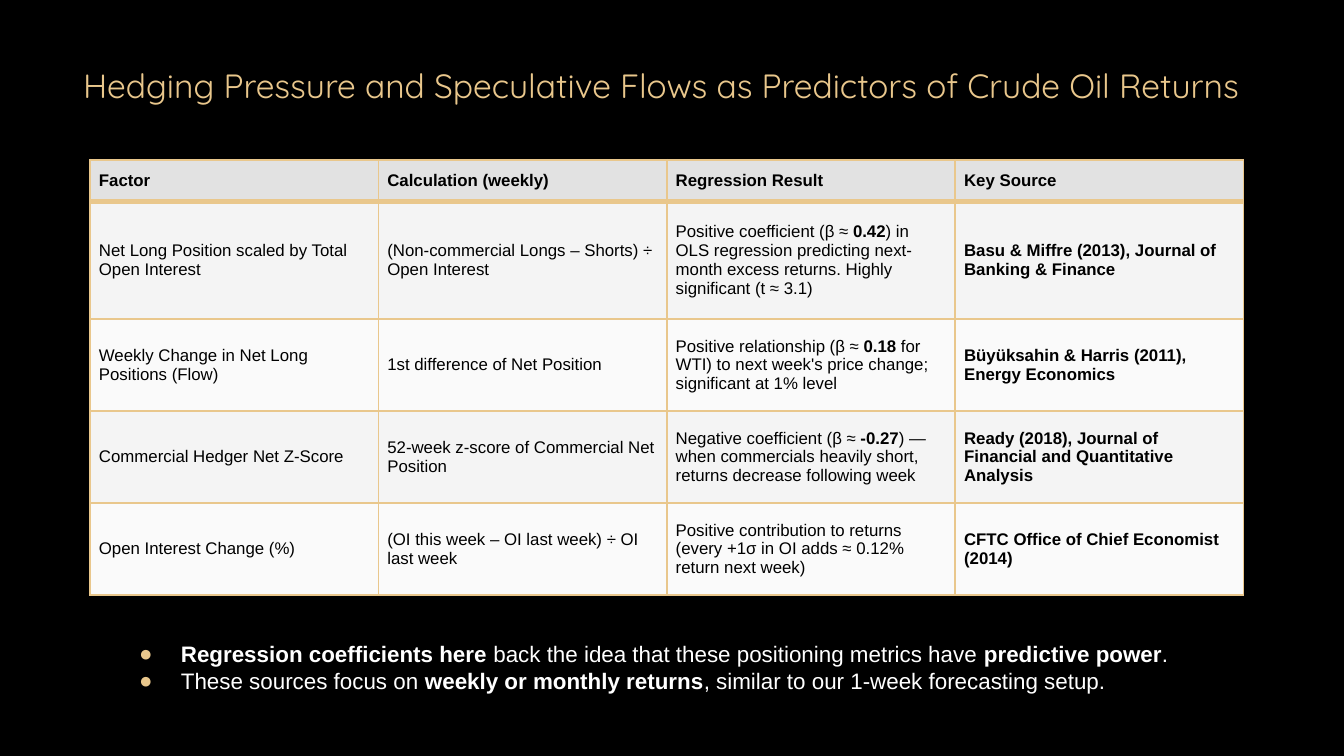
import pptx
import pptx.dml.color
import pptx.enum.text
import pptx.oxml.ns
import pptx.util
from dataclasses import dataclass
from lxml import etree

Cm, Pt = pptx.util.Cm, pptx.util.Pt
RGB = pptx.dml.color.RGBColor.from_string
qn = pptx.oxml.ns.qn


@dataclass
class Theme:
    back: str = "000000"
    gold: str = "E9C78C"
    white: str = "FFFFFF"
    ink: str = "000000"
    header: str = "E2E2E2"
    bands: tuple = ("F4F4F4", "FAFAFA")
    display: str = "Quicksand"
    sans: str = "Arial"
    title: float = 18
    body: float = 12
    cell: float = 9
    thin: float = 1
    thick: float = 3


def apply(obj, **values):
    for name, value in values.items():
        setattr(obj, name, value)


def add(parent, tag, **attrs):
    return etree.SubElement(parent, qn(tag), attrs)


class Deck:
    def __init__(self, theme):
        self.theme = theme
        self.prs = pptx.Presentation()
        apply(self.prs, slide_width=Cm(25.4), slide_height=Cm(14.29))
        self.slide = self.prs.slides.add_slide(self.prs.slide_layouts[6])
        fill = self.slide.background.fill
        fill.solid()
        fill.fore_color.rgb = RGB(theme.back)

    def label(self, para, text, color, **font):
        """Fill a paragraph; text between ** marks is bold."""
        for i, part in enumerate(text.split("**")):
            if part:
                run = para.add_run()
                run.text = part
                apply(run.font, bold=i % 2 == 1, **font)
                run.font.color.rgb = RGB(color)

    def box(self, x, y, w, h):
        frame = self.slide.shapes.add_textbox(Cm(x), Cm(y), Cm(w), Cm(h)).text_frame
        pad = Cm(0.25)
        apply(frame, word_wrap=True, margin_left=pad, margin_right=pad,
              margin_top=pad, margin_bottom=pad)
        return frame

    def title(self, text, *place):
        t = self.theme
        para = self.box(*place).paragraphs[0]
        self.label(para, text, t.gold, name=t.display, size=Pt(t.title))

    def bullets(self, lines, *place):
        t = self.theme
        frame = self.box(*place)
        for i, line in enumerate(lines):
            para = frame.add_paragraph() if i else frame.paragraphs[0]
            props = para._p.get_or_add_pPr()
            props.set("marL", str(Cm(1.27)))
            props.set("indent", str(-Cm(0.79)))
            add(add(props, "a:buClr"), "a:srgbClr", val=t.gold)
            add(props, "a:buFont", typeface=t.sans)
            add(props, "a:buChar", char="●")
            self.label(para, line, t.white, name=t.sans, size=Pt(t.body))

    def border(self, cell, top, bottom):
        t = self.theme
        props = cell._tc.get_or_add_tcPr()
        for side, width in zip("LRTB", (t.thin, t.thin, top, bottom)):
            line = add(props, f"a:ln{side}", w=str(Pt(width)))
            add(add(line, "a:solidFill"), "a:srgbClr", val=t.gold)

    def cell(self, cell, text, row):
        t = self.theme
        apply(cell, vertical_anchor=pptx.enum.text.MSO_ANCHOR.MIDDLE,
              margin_left=Cm(0.17), margin_right=Cm(0.17),
              margin_top=Cm(0.08), margin_bottom=Cm(0.08))
        # The rule under the header is shared by the first two rows
        self.border(cell, t.thick if row == 1 else t.thin,
                    t.thick if row == 0 else t.thin)
        cell.fill.solid()
        cell.fill.fore_color.rgb = RGB(t.bands[(row - 1) % 2] if row else t.header)
        self.label(cell.text_frame.paragraphs[0], text, t.ink,
                   name=t.sans, size=Pt(t.cell))

    def table(self, rows, heights, x, y, w):
        count = len(rows[0])
        table = self.slide.shapes.add_table(
            len(rows), count, Cm(x), Cm(y), Cm(w), Cm(sum(heights))).table
        apply(table, first_row=False, horz_banding=False)
        for col in table.columns:
            col.width = Cm(w / count)
        for r, (row, height) in enumerate(zip(rows, heights)):
            table.rows[r].height = Cm(height)
            for c, text in enumerate(row):
                self.cell(table.cell(r, c), text, r)


ROWS = [
    ["**Factor**", "**Calculation (weekly)**", "**Regression Result**",
     "**Key Source**"],
    ["Net Long Position scaled by Total Open Interest",
     "(Non-commercial Longs – Shorts) ÷ Open Interest",
     "Positive coefficient (β ≈ **0.42**) in OLS regression predicting "
     "next-month excess returns. Highly significant (t ≈ 3.1)",
     "**Basu & Miffre (2013), Journal of Banking & Finance**"],
    ["Weekly Change in Net Long Positions (Flow)",
     "1st difference of Net Position",
     "Positive relationship (β ≈ **0.18 **for WTI) to next week's price "
     "change; significant at 1% level",
     "**Büyüksahin & Harris (2011), Energy Economics**"],
    ["Commercial Hedger Net Z-Score",
     "52-week z-score of Commercial Net Position",
     "Negative coefficient (β ≈ **-0.27**) — when commercials heavily "
     "short, returns decrease following week",
     "**Ready (2018), Journal of Financial and Quantitative Analysis**"],
    ["Open Interest Change (%)",
     "(OI this week – OI last week) ÷ OI last week",
     "Positive contribution to returns (every +1σ in OI adds ≈ 0.12% "
     "return next week)",
     "**CFTC Office of Chief Economist (2014)**"],
]

NOTES = [
    "**Regression coefficients here **back the idea that these positioning "
    "metrics have **predictive power**.",
    "These sources focus on **weekly or monthly returns**, similar to our "
    "1-week forecasting setup.",
]


def main():
    deck = Deck(Theme())
    # Heading
    deck.title("Hedging Pressure and Speculative Flows as Predictors of "
               "Crude Oil Returns", 1.32, 0.97, 23.42, 1.47)
    # Factor table
    deck.table(ROWS, [0.78, 2.23, 1.74, 1.74, 1.74], 1.7, 3.02, 21.8)
    # Takeaways
    deck.bullets(NOTES, 1.9, 11.86, 21.62, 1.47)
    deck.prs.save("out.pptx")


if __name__ == "__main__":
    main()
